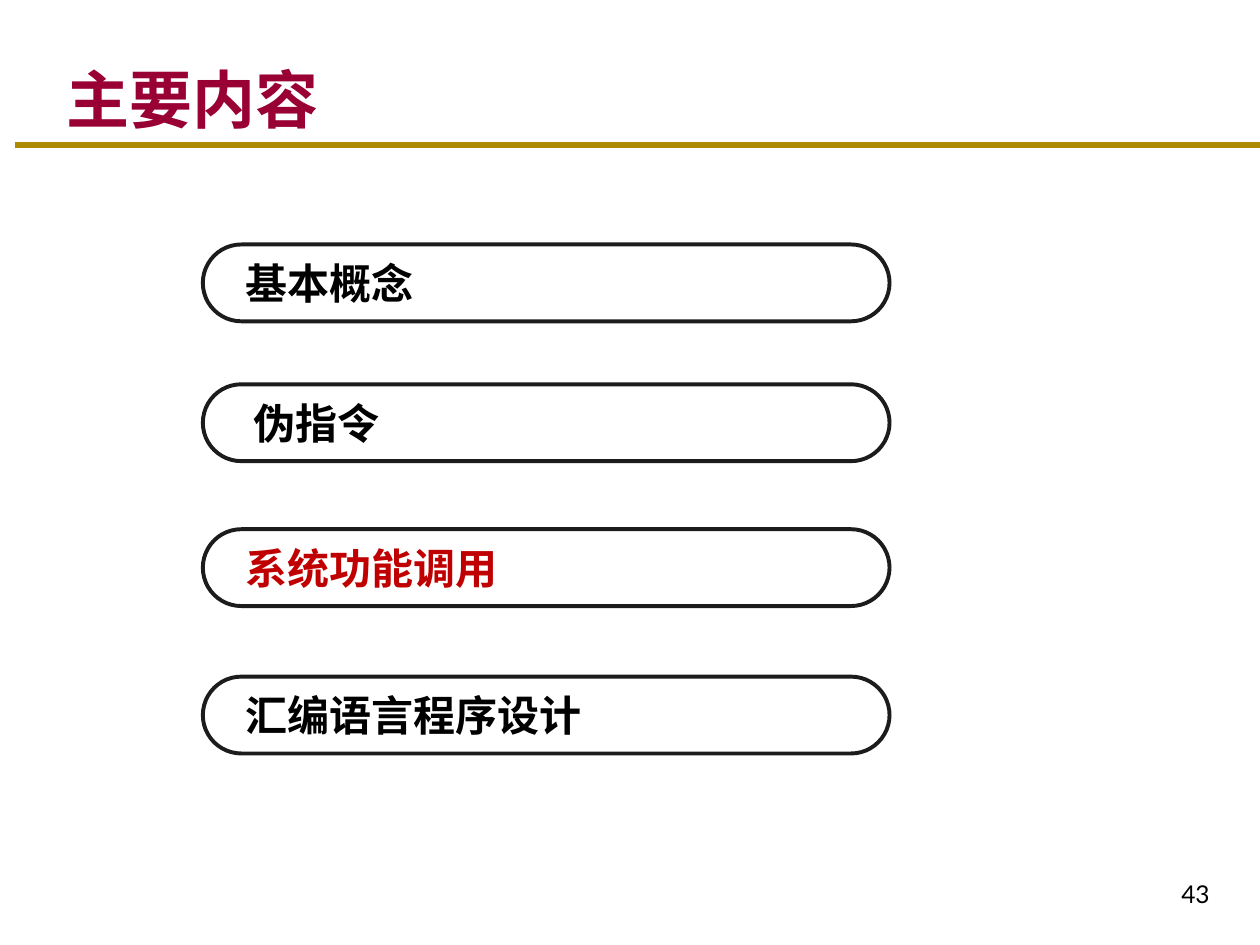
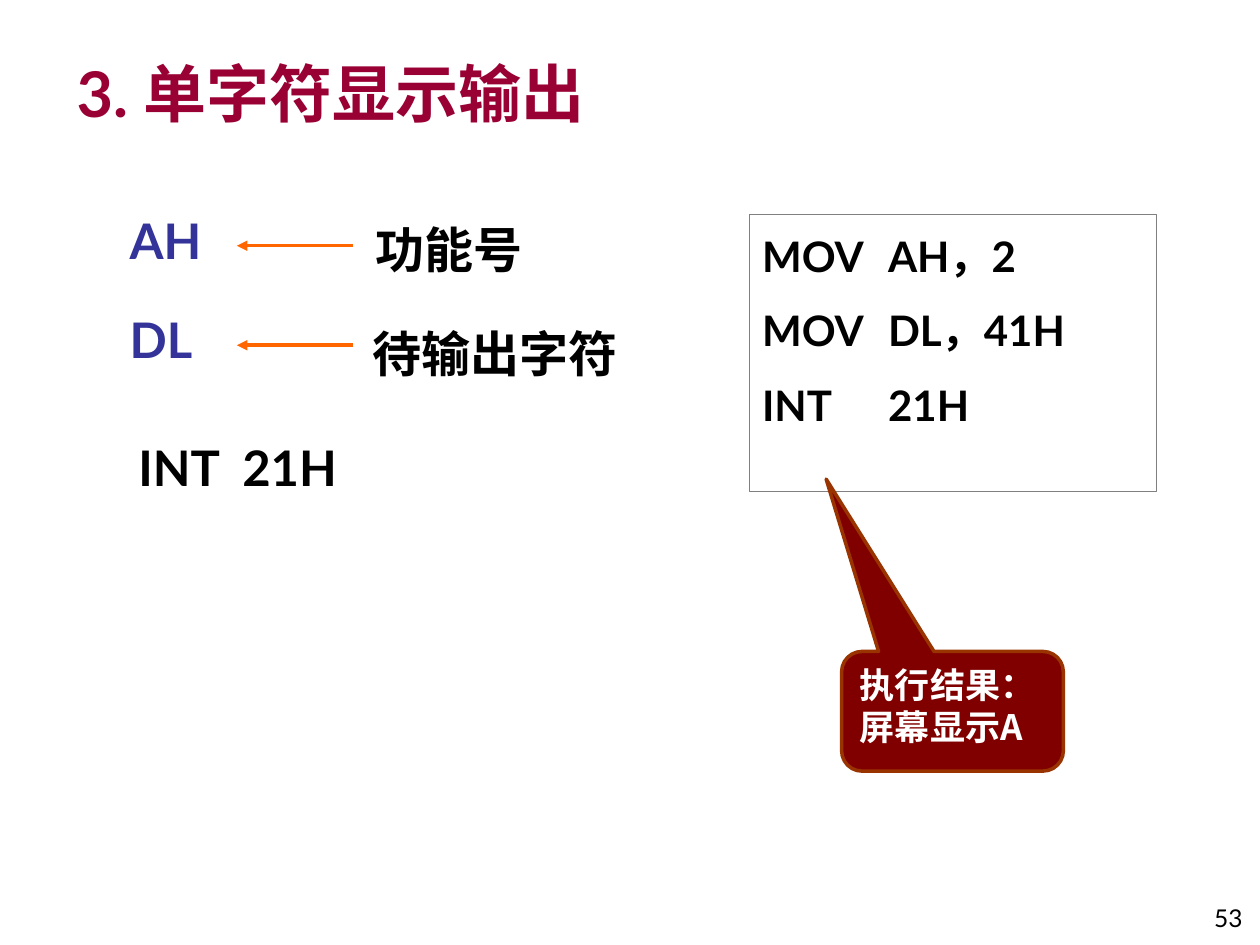
import pptx
import pptx.dml.color
import pptx.enum.shapes
import pptx.enum.text
import pptx.oxml.ns
import pptx.util
from lxml import etree

Inches = pptx.util.Inches
Pt = pptx.util.Pt
RGBColor = pptx.dml.color.RGBColor
Shape = pptx.enum.shapes.MSO_SHAPE
Anchor = pptx.enum.text.MSO_ANCHOR
Align = pptx.enum.text.PP_ALIGN
qn = pptx.oxml.ns.qn

CRIMSON = RGBColor(0x99, 0x00, 0x33)
GOLD = RGBColor(0xAD, 0x8C, 0x01)
BLACK = RGBColor(0x00, 0x00, 0x00)
WHITE = RGBColor(0xFF, 0xFF, 0xFF)
CHARCOAL = RGBColor(0x1C, 0x1C, 0x1C)
RED = RGBColor(0xC0, 0x00, 0x00)
ORANGE = RGBColor(0xFF, 0x66, 0x00)
INDIGO = RGBColor(0x33, 0x33, 0x99)
GRAY = RGBColor(0x80, 0x80, 0x80)
MAROON = RGBColor(0x80, 0x00, 0x00)
RUST = RGBColor(0x99, 0x33, 0x00)

LATIN = "Lato"
CHINESE = "Noto Sans CJK SC"


class Deck:
    def __init__(self):
        self.presentation = pptx.Presentation()
        self.presentation.slide_width = Inches(10)
        self.presentation.slide_height = Inches(7.5)
        self.slide = None

    def add_slide(self):
        self.slide = self.presentation.slides.add_slide(self.presentation.slide_layouts[6])

    def fill_text(self, shape, paragraphs, size, color=BLACK, bold=True,
                  align=Align.LEFT, anchor=Anchor.TOP, inset=0.1, line_spacing=None, gap=0):
        """Fill a shape with paragraphs, each a list of runs; gap is in points."""
        frame = shape.text_frame
        frame.word_wrap = True
        frame.vertical_anchor = anchor
        frame.margin_left = Inches(inset)
        for index, texts in enumerate(paragraphs):
            paragraph = frame.add_paragraph() if index else frame.paragraphs[0]
            paragraph.alignment = align
            paragraph.line_spacing = line_spacing
            paragraph.space_before = Pt(gap if index else 0)
            for text in texts:
                run = paragraph.add_run()
                run.text = text
                run.font.size = Pt(size)
                run.font.bold = bold
                run.font.color.rgb = color
                run.font.name = LATIN if text[0].isascii() else CHINESE
                east_asian = etree.SubElement(run.font._element, qn("a:ea"))
                east_asian.set("typeface", CHINESE)

    def text(self, left, top, width, height, paragraphs, size, **style):
        box = self.slide.shapes.add_textbox(
            Inches(left), Inches(top), Inches(width), Inches(height))
        self.fill_text(box, paragraphs, size, **style)

    def title(self, left, top, height, *runs):
        self.text(left, top, 8.39, height, [runs], 36, color=CRIMSON, anchor=Anchor.BOTTOM)

    def page_number(self, left, top, width, number):
        self.text(left, top, width, 0.5, [[number]], 14, bold=False,
                  align=Align.RIGHT, anchor=Anchor.BOTTOM)

    def shape(self, kind, left, top, width, height, line, line_width,
              fill=None, adjustments=()):
        shape = self.slide.shapes.add_shape(
            kind, Inches(left), Inches(top), Inches(width), Inches(height))
        shape.shadow.inherit = False
        if fill is None:
            shape.fill.background()
        else:
            shape.fill.solid()
            shape.fill.fore_color.rgb = fill
        shape.line.color.rgb = line
        shape.line.width = Pt(line_width)
        for index, value in enumerate(adjustments):
            shape.adjustments[index] = value
        return shape

    def line(self, start, end, y, color, width, arrow=False):
        """Draw a horizontal line, with an arrowhead at its end if asked."""
        connector = self.slide.shapes.add_connector(
            pptx.enum.shapes.MSO_CONNECTOR.STRAIGHT,
            Inches(start), Inches(y), Inches(end), Inches(y))
        connector.line.color.rgb = color
        connector.line.width = Pt(width)
        properties = connector._element.spPr
        if arrow:
            tail = etree.SubElement(properties.find(qn("a:ln")), qn("a:tailEnd"))
            tail.set("type", "triangle")
        etree.SubElement(properties, qn("a:effectLst"))


def add_contents(deck):
    deck.add_slide()
    deck.line(0.12, 10, 1.15, GOLD, 3)
    deck.title(0.43, 0.21, 0.92, "主要内容")
    deck.page_number(9.17, 6.76, 0.53, "43")
    topics = [
        ("基本概念", 1.94, 0.25, BLACK),
        ("伪指令", 3.05, 0.31, BLACK),
        ("系统功能调用", 4.2, 0.25, RED),
        ("汇编语言程序设计", 5.37, 0.25, BLACK),
    ]
    for topic, top, inset, color in topics:
        pill = deck.shape(Shape.ROUNDED_RECTANGLE, 1.61, top, 5.45, 0.61,
                          CHARCOAL, 2.25, adjustments=[0.5])
        deck.fill_text(pill, [[topic]], 24, color=color, anchor=Anchor.MIDDLE, inset=inset)


def add_character_output(deck):
    deck.add_slide()
    deck.page_number(9.25, 6.95, 0.71, "53")
    deck.title(0.51, 0.29, 0.79, "3. ", "单字符显示输出")

    body = {"align": Align.JUSTIFY, "line_spacing": 1.3}
    deck.text(1, 3.28, 3.62, 0.66, [["INT  21H"]], 28, **body)
    registers = [
        ("AH", 1.62, "功能号", 2.88, 1.55),
        ("DL", 2.41, "待输出字符", 2.86, 2.38),
    ]
    for register, top, meaning, meaning_left, meaning_top in registers:
        deck.line(2.8, 1.88, top + 0.33, ORANGE, 2, arrow=True)
        deck.text(0.76, top, 1.26, 0.57, [[register]], 28, color=INDIGO, inset=0.27)
        deck.text(meaning_left, meaning_top, 2.75, 0.66, [[meaning]], 28, **body)

    code = deck.shape(Shape.RECTANGLE, 5.95, 1.7, 3.23, 2.2, GRAY, 0.75)
    deck.fill_text(code, [["MOV\tAH，2"], ["MOV\tDL，41H"], ["INT\t21H"]], 24,
                   align=Align.JUSTIFY, line_spacing=1.2, gap=8)

    result = deck.shape(Shape.ROUNDED_RECTANGULAR_CALLOUT, 6.68, 5.17, 1.76, 0.95,
                        RUST, 2, fill=MAROON, adjustments=[-0.57, -1.94, 0.17])
    deck.fill_text(result, [["执行结果："], ["屏幕显示A"]], 20, color=WHITE,
                   align=Align.JUSTIFY)


def main():
    deck = Deck()
    add_contents(deck)
    add_character_output(deck)
    deck.presentation.save("out.pptx")


if __name__ == "__main__":
    main()
